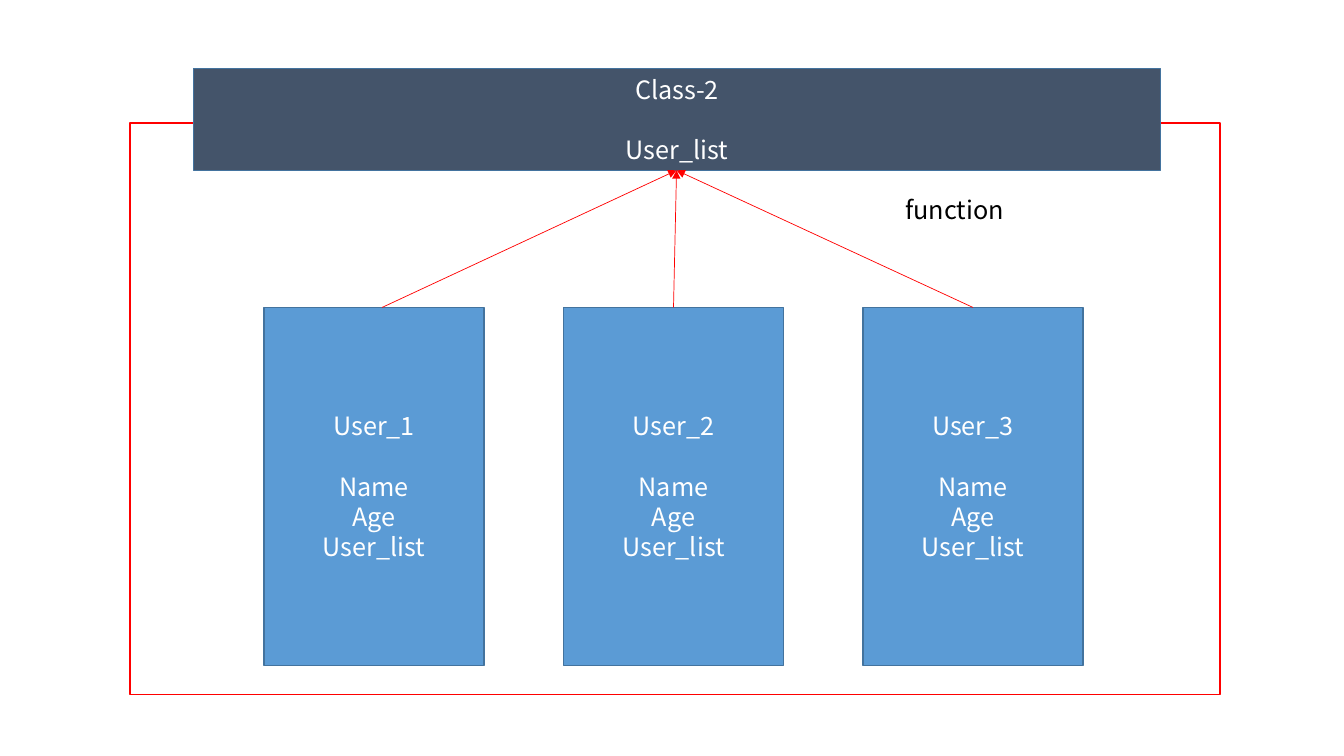
from pptx import Presentation
from pptx.dml.color import RGBColor
from pptx.enum import shapes, text
from pptx.oxml import ns
from pptx.util import Inches, Pt
from lxml import etree

RED = RGBColor(0xFF, 0x00, 0x00)
SLATE = RGBColor(0x44, 0x54, 0x6A)
BLUE = RGBColor(0x5B, 0x9B, 0xD5)
EDGE = RGBColor(0x43, 0x73, 0x9E)
WHITE = RGBColor(0xFF, 0xFF, 0xFF)
BLACK = RGBColor(0x00, 0x00, 0x00)


class Diagram:
    font = "Noto Sans CJK KR"
    size = Pt(18)
    heading_gap = Pt(21.6)

    def __init__(self, page):
        self.page = page

    def style(self, para, color):
        para.font.name = self.font
        para.font.size = self.size
        para.font.color.rgb = color

    def box(self, left, top, width, height, edge, fill=None, lines=()):
        box = self.page.shapes.add_shape(
            shapes.MSO_SHAPE.RECTANGLE,
            Inches(left), Inches(top), Inches(width), Inches(height))
        box.shadow.inherit = False
        box.line.color.rgb = edge
        box.line.width = Pt(1)
        if fill is None:
            box.fill.background()
        else:
            box.fill.solid()
            box.fill.fore_color.rgb = fill
        frame = box.text_frame
        frame.vertical_anchor = text.MSO_ANCHOR.MIDDLE
        for index, line in enumerate(lines):
            para = frame.add_paragraph() if index else frame.paragraphs[0]
            para.text = line
            para.alignment = text.PP_ALIGN.CENTER
            self.style(para, WHITE)
            if index == 1:
                para.space_before = self.heading_gap

    def arrow(self, start, end):
        arrow = self.page.shapes.add_connector(
            shapes.MSO_CONNECTOR.STRAIGHT,
            *(Inches(value) for value in (*start, *end)))
        arrow.line.color.rgb = RED
        arrow.line.width = Pt(0.5)
        etree.SubElement(arrow.line._get_or_add_ln(), ns.qn("a:tailEnd"), type="triangle")
        etree.SubElement(arrow._element.spPr, ns.qn("a:effectLst"))

    def label(self, left, top, width, height, words):
        box = self.page.shapes.add_textbox(
            Inches(left), Inches(top), Inches(width), Inches(height))
        box.text_frame.word_wrap = True
        box.text_frame.auto_size = text.MSO_AUTO_SIZE.SHAPE_TO_FIT_TEXT
        para = box.text_frame.paragraphs[0]
        para.text = words
        self.style(para, BLACK)


def main():
    deck = Presentation()
    deck.slide_width = Inches(13.33)
    deck.slide_height = Inches(7.5)
    diagram = Diagram(deck.slides.add_slide(deck.slide_layouts[6]))

    diagram.box(1.29, 1.22, 10.81, 5.67, RED)
    diagram.box(1.92, 0.68, 9.59, 1.01, EDGE, SLATE, ["Class-2", "User_list"])

    user_top = 3.05
    for index in range(3):
        diagram.box(2.62 + 2.97 * index, user_top, 2.18, 3.55, EDGE, BLUE,
                    [f"User_{index + 1}", "Name", "Age", "User_list"])
    for start in (6.68, 3.79, 9.65):
        diagram.arrow((start, user_top), (6.71, 1.69))

    diagram.label(8.88, 1.88, 1.52, 0.4, "function")
    deck.save("out.pptx")


if __name__ == "__main__":
    main()
